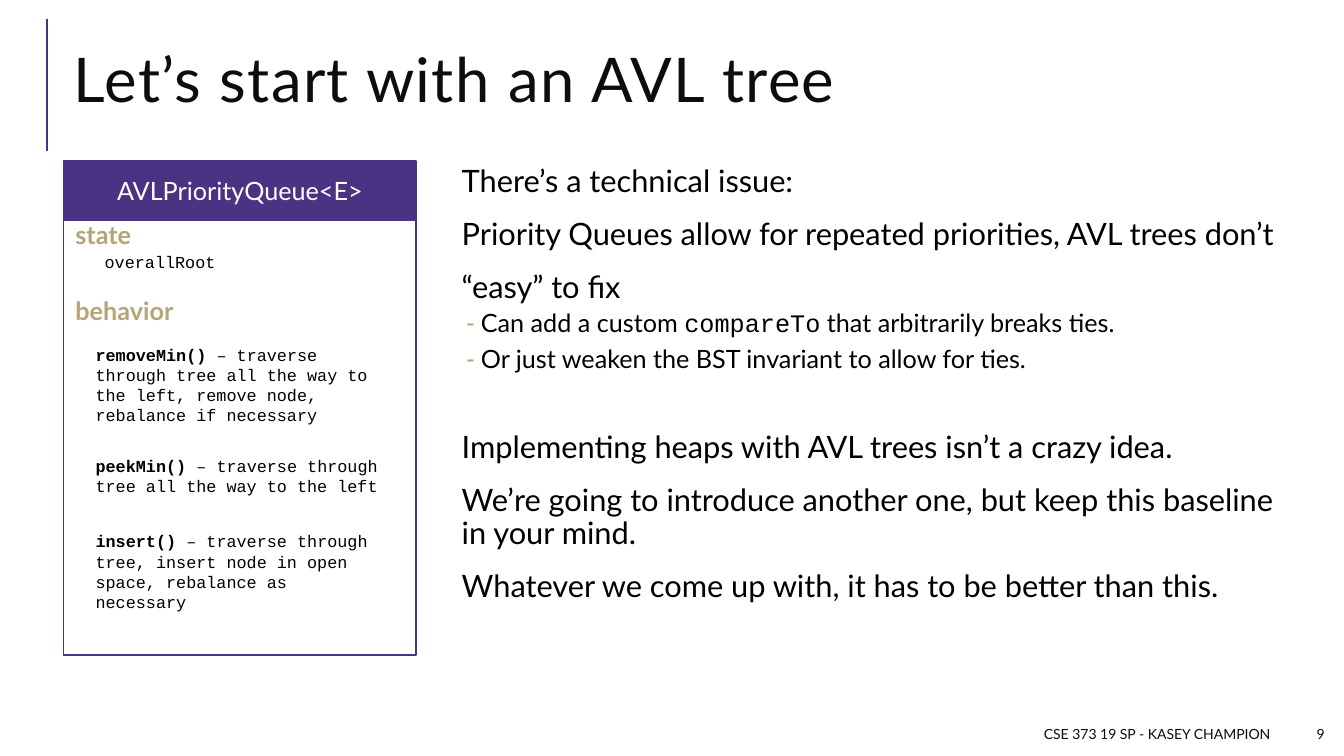
"""Build the slide on implementing a priority queue with an AVL tree."""
from lxml.etree import SubElement
from pptx import Presentation
from pptx.dml.color import RGBColor
from pptx.enum.shapes import MSO_CONNECTOR, MSO_SHAPE
from pptx.enum.text import MSO_ANCHOR, MSO_AUTO_SIZE, PP_ALIGN
from pptx.oxml.ns import qn
from pptx.util import Pt

PURPLE, GOLD, BLUE = "4C3282", "B6A479", "1CADE4"
BLACK, INK, WHITE = "000000", "0D0D0D", "FFFFFF"
SANS, MONO = "Lato", "Courier New"

TITLE = "Let’s start with an AVL tree"
POINT = {"level": 0, "size": 22, "margin": 7.2, "hanging": 7.2, "before": 12, "after": 2,
         "bullet": " ", "bullet_color": BLUE}
DETAIL = {"level": 1, "size": 18, "margin": 20.9, "hanging": 10.8, "before": 2, "after": 4,
          "bullet": "-", "bullet_color": GOLD}
NEW_TOPIC = {**POINT, "before": 37.5}
BODY = [
    (POINT, [("There’s a technical issue:", SANS)]),
    (POINT, [("Priority Queues allow for repeated priorities, AVL trees don’t", SANS)]),
    (POINT, [("“easy” to fix", SANS)]),
    (DETAIL, [("Can add a custom ", SANS), ("compareTo", MONO),
              (" that arbitrarily breaks ties.", SANS)]),
    (DETAIL, [("Or just weaken the BST invariant to allow for ties.", SANS)]),
    (NEW_TOPIC, [("Implementing heaps with AVL trees isn’t a crazy idea.", SANS)]),
    (POINT, [("We’re going to introduce another one, but keep this baseline in your mind.", SANS)]),
    (POINT, [("Whatever we come up with, it has to be better than this.", SANS)]),
]

CLASS_NAME = "AVLPriorityQueue<E>"
SECTIONS = [("state", 153.4), ("behavior", 207.4)]
FIELD = "overallRoot"
METHODS = [
    ("removeMin()", " – traverse through tree all the way to the left, remove node, "
     "rebalance if necessary", 242.6, 219.6, 65.5),
    ("peekMin()", " – traverse through tree all the way to the left", 321.8, 219.6, 36),
    ("insert()", " – traverse through tree, insert node in open space, rebalance as necessary",
     375.8, 212.4, 65.5),
]
FOOTERS = [("CSE 373 19 SP - KASEY CHAMPION", 450, 464.4), ("9", 920.2, 33.1)]

CARD_LEFT, CARD_TOP, CARD_WIDTH = 45.4, 115.2, 252
HEADER_HEIGHT, CARD_HEIGHT = 41.8, 311


def rgb(color):
    return RGBColor.from_string(color)


def add_text(paragraph, text, size=18, color=BLACK, font=SANS, bold=False, tracking=0):
    run = paragraph.add_run()
    run.text = text
    run.font.size = Pt(size)
    run.font.name = font
    run.font.bold = bold
    run.font.color.rgb = rgb(color)
    if tracking:
        run.font._element.set("spc", str(tracking * 100))


def place(shape, left, top, width, height):
    shape.left, shape.top = Pt(left), Pt(top)
    shape.width, shape.height = Pt(width), Pt(height)


def add_box(shapes, left, top, width, height):
    box = shapes.add_textbox(Pt(left), Pt(top), Pt(width), Pt(height))
    box.text_frame.word_wrap = True
    return box.text_frame


def add_panel(shapes, top, height):
    panel = shapes.add_shape(MSO_SHAPE.RECTANGLE, Pt(CARD_LEFT), Pt(top),
                             Pt(CARD_WIDTH), Pt(height))
    panel.shadow.inherit = False
    panel.line.color.rgb = rgb(PURPLE)
    panel.line.width = Pt(1.25)
    return panel


def format_item(paragraph, style, first):
    paragraph.level = style["level"]
    paragraph.alignment = PP_ALIGN.LEFT
    paragraph.line_spacing = 0.9
    paragraph.space_before = Pt(0 if first else style["before"])
    paragraph.space_after = Pt(style["after"])
    properties = paragraph._p.get_or_add_pPr()
    properties.set("marL", str(Pt(style["margin"])))
    properties.set("indent", str(-Pt(style["hanging"])))
    bullet_color = SubElement(properties, qn("a:buClr"))
    SubElement(bullet_color, qn("a:srgbClr"), val=style["bullet_color"])
    SubElement(properties, qn("a:buFont"), typeface=SANS)
    SubElement(properties, qn("a:buChar"), char=style["bullet"])


def add_title(slide):
    accent = slide.shapes.add_connector(MSO_CONNECTOR.STRAIGHT, Pt(33.8), Pt(108), Pt(33.8), Pt(13.7))
    accent.line.color.rgb = rgb(PURPLE)
    accent.line.width = Pt(1.5)
    SubElement(accent._element.spPr, qn("a:effectLst"))
    title = slide.shapes.title
    place(title, 45.4, 20.9, 880.6, 79.9)
    frame = title.text_frame
    frame.auto_size = MSO_AUTO_SIZE.NONE
    frame.vertical_anchor = MSO_ANCHOR.MIDDLE
    paragraph = frame.paragraphs[0]
    paragraph.alignment = PP_ALIGN.LEFT
    paragraph.line_spacing = 0.8
    add_text(paragraph, TITLE, size=44, color=INK, tracking=1)


def add_body(slide):
    body = slide.placeholders[1]
    place(body, 319, 115.2, 607, 381.6)
    frame = body.text_frame
    frame.auto_size = MSO_AUTO_SIZE.NONE
    frame.vertical_anchor = MSO_ANCHOR.TOP
    frame.margin_left = frame.margin_right = frame.margin_top = frame.margin_bottom = Pt(3.6)
    for index, (style, pieces) in enumerate(BODY):
        paragraph = frame.add_paragraph() if index else frame.paragraphs[0]
        format_item(paragraph, style, first=index == 0)
        for text, font in pieces:
            add_text(paragraph, text, size=style["size"], font=font)


def add_class_card(slide):
    shapes = slide.shapes.add_group_shape().shapes
    outline = add_panel(shapes, CARD_TOP + HEADER_HEIGHT, CARD_HEIGHT)
    outline.fill.background()
    header = add_panel(shapes, CARD_TOP, HEADER_HEIGHT)
    header.fill.solid()
    header.fill.fore_color.rgb = rgb(PURPLE)
    header.text_frame.vertical_anchor = MSO_ANCHOR.MIDDLE
    paragraph = header.text_frame.paragraphs[0]
    paragraph.alignment = PP_ALIGN.CENTER
    add_text(paragraph, CLASS_NAME, color=WHITE)
    for name, top in SECTIONS:
        frame = add_box(shapes, 46.8, top, 160.6, 28.8)
        add_text(frame.paragraphs[0], name, color=GOLD, bold=True)
    frame = add_box(shapes, 67.7, 176.4, 160.6, 21.6)
    add_text(frame.paragraphs[0], FIELD, size=12, font=MONO)
    for name, description, top, width, height in METHODS:
        paragraph = add_box(shapes, 61.2, top, width, height).paragraphs[0]
        add_text(paragraph, name, size=12, font=MONO, bold=True)
        add_text(paragraph, description, size=12, font=MONO)


def add_footers(slide):
    for text, left, width in FOOTERS:
        frame = add_box(slide.shapes, left, 513.4, width, 21.6)
        frame.vertical_anchor = MSO_ANCHOR.MIDDLE
        frame.paragraphs[0].alignment = PP_ALIGN.RIGHT
        add_text(frame.paragraphs[0], text, size=10, color=INK)


def main():
    presentation = Presentation()
    presentation.slide_width, presentation.slide_height = Pt(960), Pt(540)
    slide = presentation.slides.add_slide(presentation.slide_layouts[1])
    add_title(slide)
    add_body(slide)
    add_class_card(slide)
    add_footers(slide)
    presentation.save("out.pptx")


if __name__ == "__main__":
    main()
